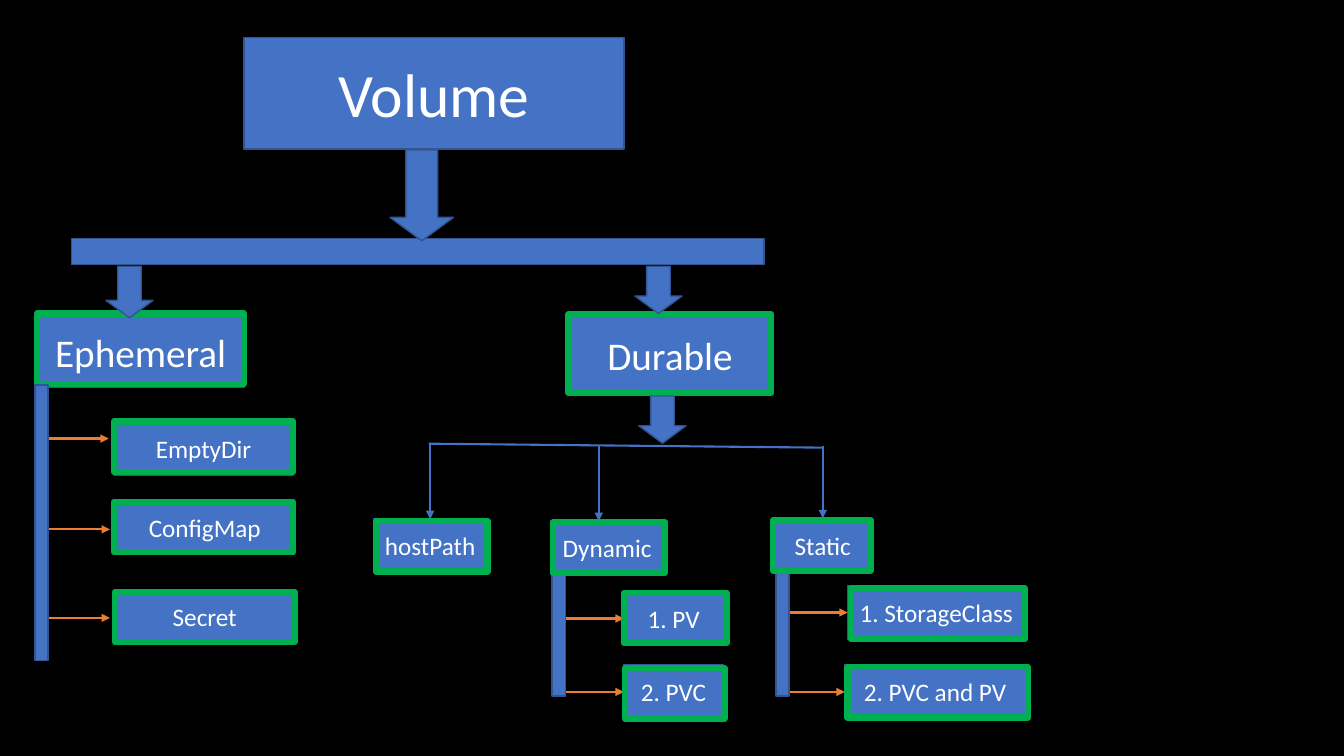
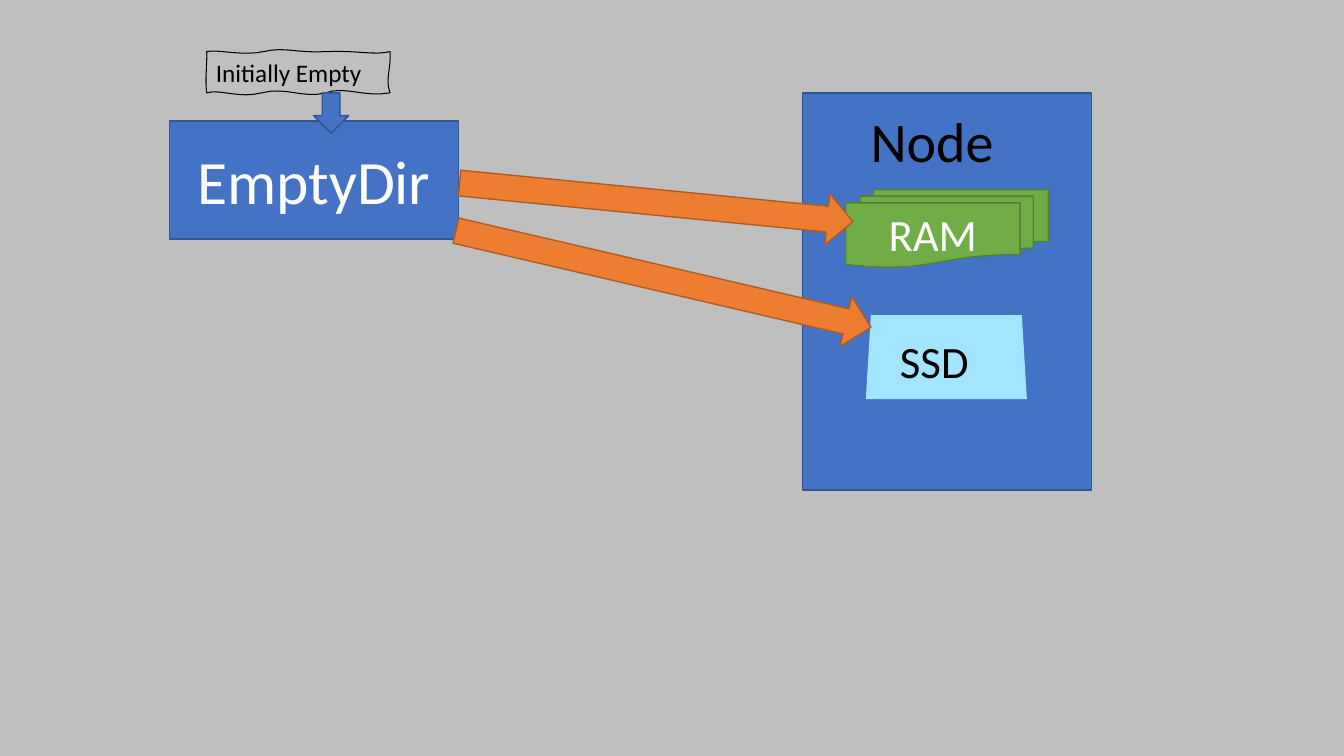
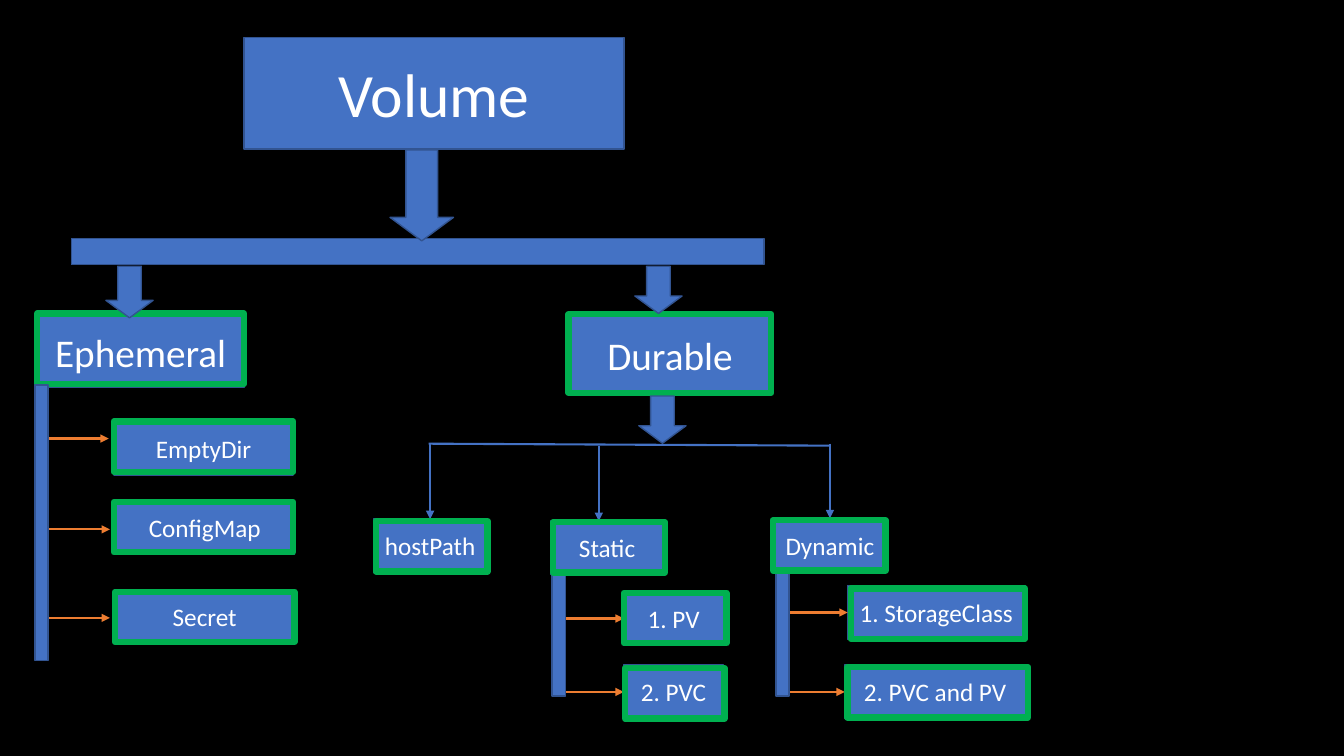
from lxml.etree import SubElement
from pptx import Presentation
from pptx.dml.color import RGBColor
from pptx.enum.shapes import MSO_CONNECTOR, MSO_SHAPE as Preset
from pptx.enum.text import MSO_ANCHOR as Anchor, PP_ALIGN as Align
from pptx.oxml.ns import qn
from pptx.util import Cm, Pt

# Shared look
COLORS = {
    "black": "000000", "grey": "BFBFBF", "white": "FFFFFF",
    "blue": "4472C4", "blue_edge": "325491", "frame": "00B050",
    "orange": "ED7D31", "orange_edge": "AF5C24",
    "green": "70AD47", "green_edge": "538035", "ice": "A3E4FE",
}
FONT = "Calibri"
TOP, LEFT = 0, 1  # connection sites
LEAF_H, FRAME_H = 1.35, 1.27

# Volume tree, in cm: label, (left, top, width, height), frame
VOLUME = ("Volume", (6.15, 0.94, 9.58, 2.82))
KINDS = [
    ("Durable", (14.33, 7.98, 5.11, 1.93), (14.33, 7.92, 5.11, 1.98)),
    ("Ephemeral", (0.94, 7.98, 5.21, 1.78), (0.94, 7.9, 5.21, 1.78)),
]
CROSSBAR = (-1.35, 4.93, 23.75, 2.82)
VOLUME_ARROW = (9.83, 3.78, 1.6, 2.29)
KIND_ARROWS = [(16, 6.71, 1.19, 1.19), (2.67, 6.71, 1.19, 1.3), (16.1, 9.98, 1.19, 1.19)]
EPHEMERAL_SPINE = (-3.68, 12.47, 9.45, 1.42)
DURABLE_SPINES = [(11.96, 15.27, 4.24, 1.42), (17.6, 15.27, 4.24, 1.42)]

# label, (left, top, width), frame (left, top, width), arrow start x, arrow end
# (an end of None joins the arrow to the middle of the box's left side)
LEAVES = [
    ("EmptyDir", (2.87, 10.62, 4.52), (2.87, 10.62, 4.52), 1.14, (2.74, 11.05)),
    ("ConfigMap", (2.9, 12.62, 4.52), (2.87, 12.65, 4.52), 1.17, (2.77, 13.34)),
    ("Secret", (2.9, 14.86, 4.52), (2.9, 14.91, 4.52), 1.17, (2.77, 15.57)),
    ("1. PV", (15.72, 14.91, 2.51), (15.72, 14.94, 2.59), 14.25, None),
    ("2. PVC", (15.72, 16.76, 2.51), (15.75, 16.84, 2.51), 14.25, None),
    ("1. StorageClass", (21.36, 14.76, 4.47), (21.44, 14.83, 4.39), 19.86, None),
    ("2. PVC and PV", (21.29, 16.76, 4.55), (21.36, 16.81, 4.55), 19.81, None),
]

# Durable branches: label, box, frame, x of the drop (None: middle of the box), its top
FIRST_BRANCH = ("hostPath", (9.42, 13.08, 2.84), (9.47, 13.13, 2.82), None, 11.18)
SECOND_PLACE = ((13.89, 13.13, 2.82), (13.94, 13.16, 2.82), 15.09, 11.23)
RAIL_START = (10.8, 11.18)
TREES = {
    "draft": {
        "branches": [
            FIRST_BRANCH,
            ("Dynamic", *SECOND_PLACE),
            ("Static", (19.53, 13.06, 2.41), (19.48, 13.11, 2.46), None, 11.23),
        ],
        "rail_end": (20.75, 11.28),
    },
    "final": {
        "branches": [
            FIRST_BRANCH,
            ("Static", *SECOND_PLACE),
            ("Dynamic", (19.53, 13.06, 2.77), (19.48, 13.11, 2.84), None, 11.18),
        ],
        "rail_end": (20.93, 11.23),
    },
}

# EmptyDir slide
EMPTY_DIR = ("EmptyDir", (4.27, 3.05, 7.29, 2.97))
NODE = ("Node", (20.22, 2.34, 7.29, 10.01), (21.69, 2.57, 4.88, 1.96), 40)
SSD = ("SSD", (21.82, 7.94, 4.06, 2.12), (22.43, 8.28, 3.38, 1.63), 32)
RAM = ("RAM", (21.31, 4.78, 5.11, 1.96))
STORAGE_ARROWS = [((11.56, 4.45, 9.96, 1.3), 5.6), ((11.35, 6.38, 10.74, 1.3), 13.1)]
NOTE = "Initially Empty"
NOTE_ARROW = (7.9, 2.34, 0.89, 1.02)
NOTE_START = (5.21, 1.3)
NOTE_CURVES = [  # two control points and an end point each
    ((5.51, 1.24), (6.12, 1.42), (6.65, 1.3)),
    ((7.19, 1.17), (7.47, 1.35), (8.26, 1.3)),
    ((9.02, 1.27), (9.45, 1.4), (9.83, 1.3)),
    ((9.86, 1.78), (9.7, 1.96), (9.83, 2.34)),
    ((9.17, 2.46), (8.71, 2.16), (8.2, 2.34)),
    ((7.67, 2.49), (7.19, 2.18), (6.6, 2.34)),
    ((6.02, 2.49), (5.56, 2.24), (5.21, 2.34)),
    ((5.16, 2.01), (5.23, 1.52), (5.21, 1.3)),
]


def rgb(name):
    return RGBColor.from_string(COLORS[name])


def cm(values):
    return [Cm(value) for value in values]


def paint(shape, fill="blue", edge="blue_edge", width=1):
    if fill:
        shape.fill.solid()
        shape.fill.fore_color.rgb = rgb(fill)
    else:
        shape.fill.background()
    if edge:
        shape.line.color.rgb = rgb(edge)
        shape.line.width = Pt(width)
    else:
        shape.line.fill.background()


def write(shape, text, size, color="white", align=Align.CENTER, anchor=Anchor.MIDDLE):
    frame = shape.text_frame
    frame.word_wrap = True
    frame.vertical_anchor = anchor
    frame.text = text
    paragraph = frame.paragraphs[0]
    paragraph.alignment = align
    paragraph.font.name = FONT
    paragraph.font.size = Pt(size)
    paragraph.font.color.rgb = rgb(color)


def add_preset(shapes, preset, place, adjust=(), rotation=0, **look):
    shape = shapes.add_shape(preset, *cm(place))
    shape.shadow.inherit = False
    shape.rotation = rotation
    for index, value in enumerate(adjust):
        shape.adjustments[index] = value
    paint(shape, **look)
    return shape


def add_box(shapes, label, place, size):
    box = add_preset(shapes, Preset.RECTANGLE, place)
    write(box, label, size)
    return box


def add_frame(shapes, place):
    add_preset(shapes, Preset.RECTANGLE, place, fill=None, edge="frame", width=4.5)


def add_down_arrow(shapes, place, head=0.37):
    add_preset(shapes, Preset.DOWN_ARROW, place, (0.5, head))


def add_line(shapes, start, end, color, arrow=True):
    line = shapes.add_connector(MSO_CONNECTOR.STRAIGHT, *cm(start + end))
    line.line.color.rgb = rgb(color)
    line.line.width = Pt(1.5)
    properties = line.element.spPr
    if arrow:
        SubElement(properties.find(qn("a:ln")), qn("a:tailEnd"), type="triangle")
    SubElement(properties, qn("a:effectLst"))
    return line


def new_slide(prs, background, title, place):
    slide = prs.slides.add_slide(prs.slide_layouts[5])
    slide.background.fill.solid()
    slide.background.fill.fore_color.rgb = rgb(background)
    heading = slide.shapes.title
    heading.left, heading.top, heading.width, heading.height = cm(place)
    paint(heading)
    write(heading, title, 44)
    return slide


def add_tree_slide(prs, branches, rail_end):
    shapes = new_slide(prs, "black", *VOLUME).shapes

    # Volume kinds and their crossbar
    for label, place, _ in KINDS:
        add_box(shapes, label, place, 28)
    add_preset(shapes, Preset.MATH_MINUS, CROSSBAR)
    add_down_arrow(shapes, VOLUME_ARROW)
    for _, _, frame in KINDS:
        add_frame(shapes, frame)

    # Leaves with their arrows
    for label, place, _, start_x, end in LEAVES:
        box = add_box(shapes, label, (*place, LEAF_H), 18)
        tip = end or (place[0], place[1] + LEAF_H / 2)
        arrow = add_line(shapes, (start_x, tip[1]), tip, "orange")
        if end is None:
            arrow.end_connect(box, LEFT)

    # Durable branches under the rail
    add_line(shapes, RAIL_START, rail_end, "blue", arrow=False)
    for label, place, _, drop_x, drop_top in branches:
        box = add_box(shapes, label, (*place, LEAF_H), 18)
        x = drop_x or place[0] + place[2] / 2
        drop = add_line(shapes, (x, drop_top), (x, place[1]), "blue")
        if drop_x is None:
            drop.end_connect(box, TOP)

    # Spines, block arrows and green frames
    for spine in [EPHEMERAL_SPINE, *DURABLE_SPINES]:
        add_preset(shapes, Preset.MATH_MINUS, spine, rotation=90)
    for arrow in KIND_ARROWS:
        add_down_arrow(shapes, arrow)
    for _, _, frame, *_ in LEAVES + branches:
        add_frame(shapes, (*frame, FRAME_H))


def add_captioned(slide, preset, item, adjust=(), **look):
    caption, place, caption_place, size = item
    group = slide.shapes.add_group_shape().shapes
    add_preset(group, preset, place, adjust, **look)
    text = group.add_textbox(*cm(caption_place))
    write(text, caption, size, "black", Align.LEFT, Anchor.TOP)


def add_note(shapes, steps=8):
    points, start = [], NOTE_START
    for first, second, end in NOTE_CURVES:
        for step in range(1, steps + 1):
            t = step / steps
            weights = ((1 - t) ** 3, 3 * t * (1 - t) ** 2, 3 * t * t * (1 - t), t ** 3)
            corners = zip(start, first, second, end)
            points.append(cm(sum(w * c for w, c in zip(weights, axis)) for axis in corners))
        start = end
    outline = shapes.build_freeform(*cm(NOTE_START))
    outline.add_line_segments(points, close=True)
    note = outline.convert_to_shape()
    note.shadow.inherit = False
    paint(note, None, "black", 0.75)
    write(note, NOTE, 18, "black", Align.LEFT)


def add_empty_dir_slide(prs):
    slide = new_slide(prs, "grey", *EMPTY_DIR)
    shapes = slide.shapes
    add_captioned(slide, Preset.RECTANGLE, NODE)
    add_captioned(slide, Preset.TRAPEZOID, SSD, (0.06,), fill="ice", edge=None)
    label, place = RAM
    ram = add_preset(shapes, Preset.FLOWCHART_MULTIDOCUMENT, place,
                     fill="green", edge="green_edge")
    write(ram, label, 32)
    for place, angle in STORAGE_ARROWS:
        add_preset(shapes, Preset.RIGHT_ARROW, place, rotation=angle,
                   fill="orange", edge="orange_edge")
    add_note(shapes)
    add_down_arrow(shapes, NOTE_ARROW, head=0.5)


def main():
    prs = Presentation()
    prs.slide_width, prs.slide_height = Cm(33.87), Cm(19.05)
    add_tree_slide(prs, **TREES["draft"])
    add_empty_dir_slide(prs)
    add_tree_slide(prs, **TREES["final"])
    prs.save("out.pptx")


if __name__ == "__main__":
    main()
